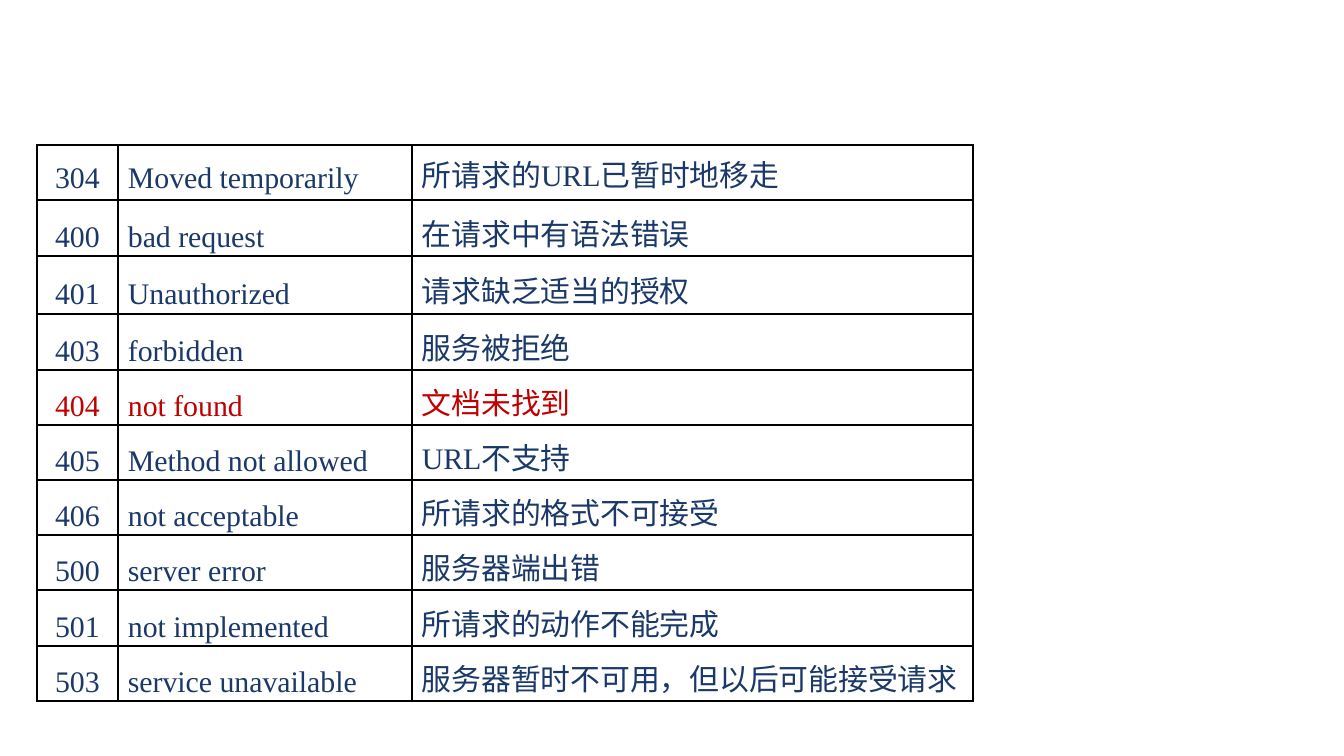
"""Build a slide with a table of HTTP status codes."""
import dataclasses

import lxml.etree
import pptx
import pptx.dml.color
import pptx.enum.text
import pptx.oxml.ns
import pptx.util

EMU_PER_PX = 914400 / 134.4
COLORS = {"text": "1A3868", "highlight": "C00000", "border": "000000"}
FONT = "Times New Roman"
COLUMN_WIDTHS = (81, 294, 561)
ROW_HEIGHTS = (55, 56, 58, 56, 55, 55, 55, 55, 56, 55)
CENTER = pptx.enum.text.PP_ALIGN.CENTER
JUSTIFY = pptx.enum.text.PP_ALIGN.JUSTIFY
ALIGNMENTS = (CENTER, JUSTIFY, JUSTIFY)


@dataclasses.dataclass
class Status:
    """One row of the status table."""
    code: str
    phrase: str
    meaning: str
    color: str = "text"
    line_points: int = 14


STATUSES = (
    Status("304", "Moved temporarily", "所请求的URL已暂时地移走", line_points=12),
    Status("400", "bad request", "在请求中有语法错误"),
    Status("401", "Unauthorized", "请求缺乏适当的授权"),
    Status("403", "forbidden", "服务被拒绝"),
    Status("404", "not found", "文档未找到", color="highlight"),
    Status("405", "Method not allowed", "URL不支持"),
    Status("406", "not acceptable", "所请求的格式不可接受"),
    Status("500", "server error", "服务器端出错"),
    Status("501", "not implemented", "所请求的动作不能完成"),
    Status("503", "service unavailable", "服务器暂时不可用，但以后可能接受请求"),
)


def px(length: int) -> pptx.util.Emu:
    """Turn pixels into EMU."""
    return pptx.util.Emu(round(length * EMU_PER_PX))


def add_borders(cell) -> None:
    """Draw a thin line on all four sides of a cell."""
    properties = cell._tc.get_or_add_tcPr()
    qn = pptx.oxml.ns.qn
    for side in ("lnL", "lnR", "lnT", "lnB"):
        line = lxml.etree.SubElement(properties, qn(f"a:{side}"), w=str(pptx.util.Pt(1)))
        fill = lxml.etree.SubElement(line, qn("a:solidFill"))
        lxml.etree.SubElement(fill, qn("a:srgbClr"), val=COLORS["border"])


def fill_cell(cell, text: str, alignment, status: Status) -> None:
    """Write and format one cell, leaving one line of room above the text."""
    add_borders(cell)
    cell.fill.background()
    cell.margin_left = cell.margin_right = px(10)
    cell.margin_top = pptx.util.Pt(status.line_points)
    cell.margin_bottom = 0
    cell.vertical_anchor = pptx.enum.text.MSO_ANCHOR.MIDDLE
    cell.text = text
    paragraph = cell.text_frame.paragraphs[0]
    paragraph.alignment = alignment
    paragraph.line_spacing = pptx.util.Pt(status.line_points)
    paragraph.font.size = pptx.util.Pt(16)
    paragraph.font.name = FONT
    paragraph.font.color.rgb = pptx.dml.color.RGBColor.from_string(COLORS[status.color])


def add_status_table(slide) -> None:
    """Add the table and fill it row by row."""
    frame = slide.shapes.add_table(
        len(STATUSES), len(COLUMN_WIDTHS), px(37), px(145),
        px(sum(COLUMN_WIDTHS)), px(sum(ROW_HEIGHTS)))
    table = frame.table
    table.first_row = table.horz_banding = False
    for column, width in zip(table.columns, COLUMN_WIDTHS):
        column.width = px(width)
    for row, height, status in zip(table.rows, ROW_HEIGHTS, STATUSES):
        row.height = px(height)
        texts = (status.code, status.phrase, status.meaning)
        for cell, text, alignment in zip(row.cells, texts, ALIGNMENTS):
            fill_cell(cell, text, alignment, status)


def main() -> None:
    """Create and save the presentation."""
    presentation = pptx.Presentation()
    presentation.slide_width = px(1344)
    presentation.slide_height = px(756)
    slide = presentation.slides.add_slide(presentation.slide_layouts[6])
    add_status_table(slide)
    presentation.save("out.pptx")


if __name__ == "__main__":
    main()
